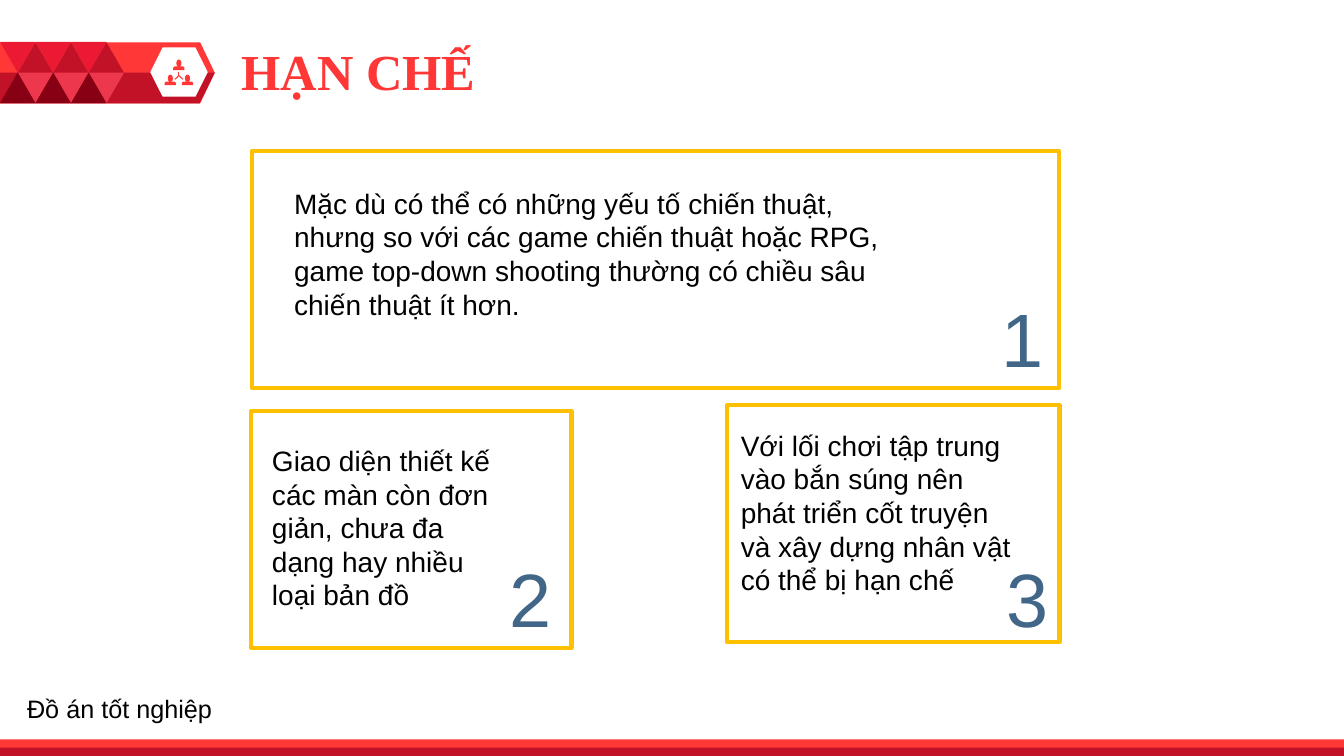
from dataclasses import dataclass

from lxml import etree
from pptx import Presentation
from pptx.dml.color import RGBColor
from pptx.enum.shapes import MSO_CONNECTOR, MSO_SHAPE
from pptx.enum.text import PP_ALIGN
from pptx.oxml.ns import qn
from pptx.shapes.autoshape import Shape
from pptx.util import Inches, Pt

RECTANGLE = MSO_SHAPE.RECTANGLE
TRIANGLE = MSO_SHAPE.ISOSCELES_TRIANGLE
PENTAGON = MSO_SHAPE.PENTAGON
HEXAGON = MSO_SHAPE.HEXAGON
OVAL = MSO_SHAPE.OVAL
SHOULDERS = MSO_SHAPE.ROUND_2_SAME_RECTANGLE
STRAIGHT = MSO_CONNECTOR.STRAIGHT
LEFT, RIGHT = PP_ALIGN.LEFT, PP_ALIGN.RIGHT

BLACK = RGBColor(0x00, 0x00, 0x00)
WHITE = RGBColor(0xFF, 0xFF, 0xFF)
RED = RGBColor(0xFF, 0x37, 0x37)
DARK_RED = RGBColor(0xC2, 0x12, 0x27)
CRIMSON = RGBColor(0xEB, 0x19, 0x32)
ROSE = RGBColor(0xED, 0x37, 0x4D)
MAROON = RGBColor(0x88, 0x00, 0x14)
GOLD = RGBColor(0xFF, 0xC0, 0x00)
BLUE = RGBColor(0x42, 0x66, 0x87)

presentation = Presentation()
presentation.slide_width = Inches(13.33)
presentation.slide_height = Inches(7.5)
slide = presentation.slides.add_slide(presentation.slide_layouts[6])


@dataclass(frozen=True)
class Area:
    """Left, top, width and height in percent of the slide."""
    left: float
    top: float
    width: float
    height: float


@dataclass(frozen=True)
class Limitation:
    text: str
    frame: Area
    text_area: Area
    number_left: float
    number_top: float


@dataclass(frozen=True)
class TriangleKind:
    offset: float
    top: float
    rotation: int
    color: RGBColor


def across(share: float) -> int:
    return round(presentation.slide_width * share / 100)


def down(share: float) -> int:
    return round(presentation.slide_height * share / 100)


def place(area: Area) -> tuple[int, int, int, int]:
    return across(area.left), down(area.top), across(area.width), down(area.height)


def add_filled(kind: MSO_SHAPE, area: Area, color: RGBColor) -> Shape:
    shape = slide.shapes.add_shape(kind, *place(area))
    shape.shadow.inherit = False
    shape.fill.solid()
    shape.fill.fore_color.rgb = color
    shape.line.fill.background()
    return shape


def add_frame(area: Area) -> None:
    shape = slide.shapes.add_shape(RECTANGLE, *place(area))
    shape.shadow.inherit = False
    shape.fill.background()
    shape.line.color.rgb = GOLD
    shape.line.width = Pt(3)


def add_text(text: str, area: Area, *, size: float, color: RGBColor = BLACK,
             font: str = "Arial", bold: bool = False,
             align: PP_ALIGN = LEFT) -> None:
    frame = slide.shapes.add_textbox(*place(area)).text_frame
    frame.word_wrap = True
    paragraph = frame.paragraphs[0]
    paragraph.alignment = align
    run = paragraph.add_run()
    run.text = text
    run.font.name = font
    run.font.size = Pt(size)
    run.font.bold = bold
    run.font.color.rgb = color


def add_person(center: float, top: float) -> None:
    add_filled(OVAL, Area(center - 0.19, top, 0.38, 1.0), RED)
    body = add_filled(SHOULDERS, Area(center - 0.42, top + 0.93, 0.84, 0.47), RED)
    body.adjustments[0] = 0.5


def add_spoke(hub: tuple[float, float], end: tuple[float, float]) -> None:
    spoke = slide.shapes.add_connector(
        STRAIGHT, across(hub[0]), down(hub[1]), across(end[0]), down(end[1]))
    spoke.line.color.rgb = RED
    spoke.line.width = Pt(0.75)
    properties = spoke._element.find(qn("p:spPr"))
    etree.SubElement(properties, qn("a:effectLst"))


# Banner with its darker lower half
banner = add_filled(PENTAGON, Area(0, 5.6, 15.98, 8.07), RED)
banner.adjustments[0] = 0.239
builder = slide.shapes.build_freeform(0, down(9.6))
builder.add_line_segments([
    (across(15.98), down(9.6)), (across(14.85), down(13.67)), (0, down(13.67))])
lower_half = builder.convert_to_shape()
lower_half.shadow.inherit = False
lower_half.fill.solid()
lower_half.fill.fore_color.rgb = DARK_RED
lower_half.line.fill.background()

# Hexagon with the network of people
badge = add_filled(HEXAGON, Area(11.18, 6.27, 4.28, 6.53), WHITE)
badge.adjustments[0] = 0.25
HUB = (13.31, 10.0)
for spoke_end in ((13.31, 9.47), (13.01, 10.5), (13.61, 10.5)):
    add_spoke(HUB, spoke_end)
for person_center, person_top in ((13.31, 7.87), (12.67, 9.87), (13.95, 9.87)):
    add_person(person_center, person_top)

# Triangle pattern
TRIANGLE_STEP = 2.64
TRIANGLE_KINDS = (
    TriangleKind(0, 5.53, 180, CRIMSON),
    TriangleKind(TRIANGLE_STEP / 2, 5.6, 0, DARK_RED),
    TriangleKind(TRIANGLE_STEP / 2, 9.6, 180, ROSE),
    TriangleKind(0, 9.6, 0, MAROON),
)
for column in range(3):
    for kind in TRIANGLE_KINDS:
        left = column * TRIANGLE_STEP + kind.offset
        triangle = add_filled(
            TRIANGLE, Area(left, kind.top, TRIANGLE_STEP, 4.05), kind.color)
        triangle.rotation = kind.rotation

# Bottom stripes
add_filled(RECTANGLE, Area(0, 97.8, 100, 2.2), RED)
add_filled(RECTANGLE, Area(0, 98.9, 100, 1.1), DARK_RED)

# Title
add_text("HẠN CHẾ", Area(17.25, 4.67, 31.65, 9.47), size=36, color=RED,
         font="Times New Roman", bold=True)

# Numbered limitations
LIMITATIONS = (
    Limitation(
        "Mặc dù có thể có những yếu tố chiến thuật, nhưng so với các game chiến "
        "thuật hoặc RPG, game top-down shooting thường có chiều sâu chiến thuật "
        "ít hơn.",
        Area(18.75, 20, 60.08, 31.33), Area(21.15, 24, 45.68, 19.33), 66.08, 38),
    Limitation(
        "Giao diện thiết kế các màn còn đơn giản, chưa đa dạng hay nhiều loại "
        "bản đồ",
        Area(18.68, 54.4, 23.85, 31.33), Area(19.5, 58, 18.45, 23.73), 29.48, 72.4),
    Limitation(
        "Với lối chơi tập trung vào bắn súng nên phát triển cốt truyện và xây "
        "dựng nhân vật có thể bị hạn chế",
        Area(54.08, 53.6, 24.75, 31.33), Area(54.38, 56, 22.05, 23.73), 66.45, 72.4),
)
for number, limitation in enumerate(LIMITATIONS, start=1):
    add_frame(limitation.frame)
    add_text(limitation.text, limitation.text_area, size=20)
    number_area = Area(limitation.number_left, limitation.number_top, 12.3, 13.47)
    add_text(str(number), number_area, size=54, color=BLUE, align=RIGHT)

# Footer
add_text("Đồ án tốt nghiệp", Area(1.28, 91.07, 21.23, 5.33), size=18)

presentation.save("out.pptx")
